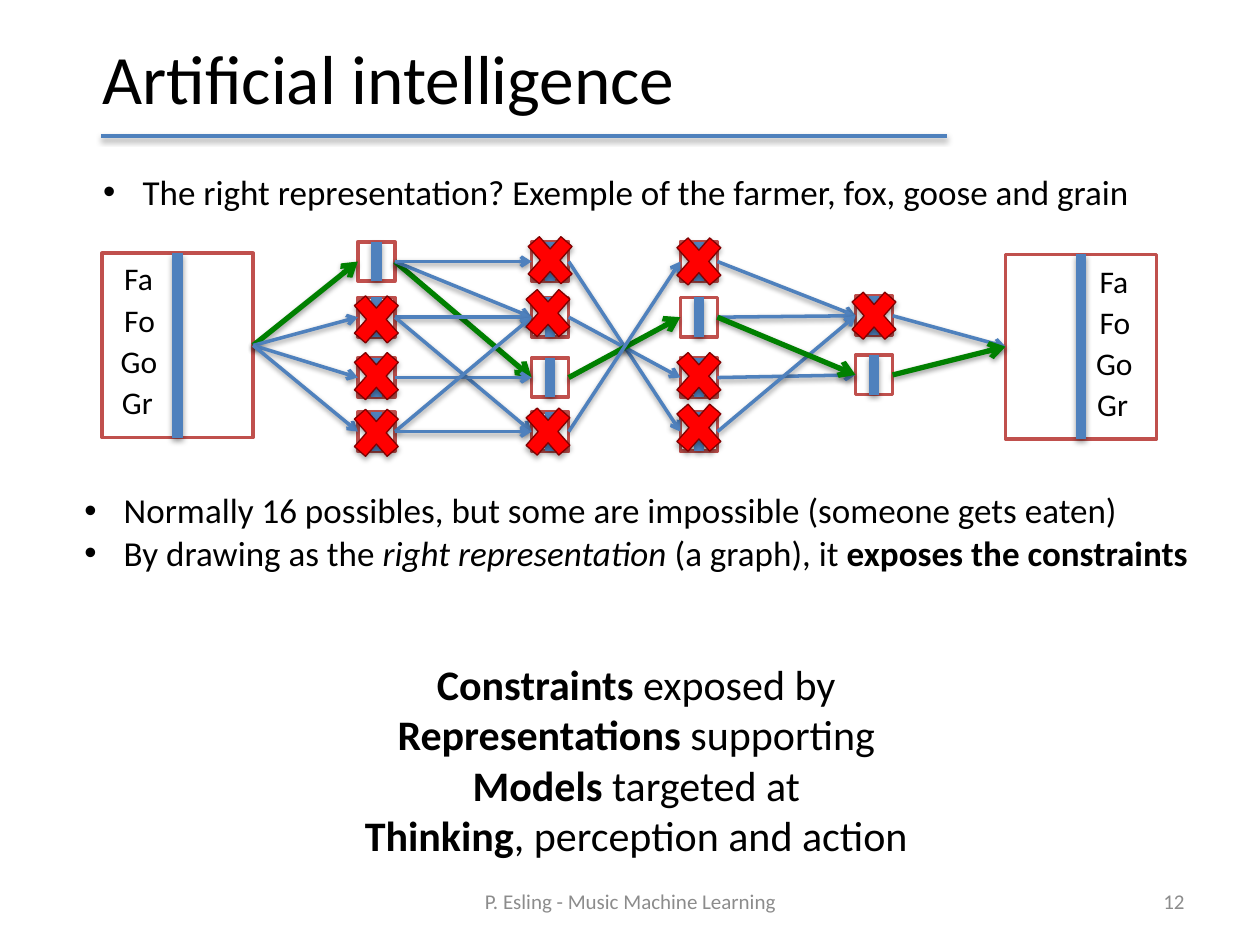
from lxml import etree
from pptx import Presentation
from pptx.dml.color import RGBColor
from pptx.enum.shapes import MSO_CONNECTOR, MSO_SHAPE
from pptx.enum.text import MSO_ANCHOR, MSO_AUTO_SIZE, PP_ALIGN
from pptx.oxml.ns import qn
from pptx.util import Pt

STRAIGHT = MSO_CONNECTOR.STRAIGHT
RECTANGLE, CROSS = MSO_SHAPE.RECTANGLE, MSO_SHAPE.MATH_MULTIPLY
LEFT, CENTER, RIGHT = PP_ALIGN.LEFT, PP_ALIGN.CENTER, PP_ALIGN.RIGHT
MIDDLE, NO_FIT = MSO_ANCHOR.MIDDLE, MSO_AUTO_SIZE.NONE
TOP_SIDE, LEFT_SIDE, BOTTOM_SIDE, RIGHT_SIDE = range(4)
BLUE, GREEN, RED_OUTLINE = "4F81BD", "008000", "C0504D"
BLACK, GREY = "000000", "8C8C8C"


def color(value):
    return RGBColor.from_string(value)


def write(shape, box, lines, size, align=LEFT, text_color=BLACK):
    shape.left, shape.top, shape.width, shape.height = map(Pt, box)
    text_frame = shape.text_frame
    text_frame.word_wrap = True
    text_frame.auto_size = NO_FIT
    for index, parts in enumerate(lines):
        paragraph = text_frame.add_paragraph() if index else text_frame.paragraphs[0]
        paragraph.alignment = align
        paragraph.space_before = Pt(0)
        for text, style in parts:
            run = paragraph.add_run()
            run.text = text
            run.font.name = "Calibri"
            run.font.size = Pt(size)
            run.font.bold = style == "bold"
            run.font.italic = style == "italic"
            run.font.color.rgb = color(text_color)


presentation = Presentation()
presentation.slide_width, presentation.slide_height = Pt(720), Pt(540)
slide = presentation.slides.add_slide(presentation.slide_layouts[3])
shapes = slide.shapes
title, question, findings = slide.placeholders

write(title, (43.2, 18, 357.8, 51.8), [[("Artificial intelligence", "")]], 39.6, CENTER)
rule = shapes.add_connector(STRAIGHT, Pt(57.6), Pt(77.8), Pt(541.4), Pt(77.8))
rule.line.color.rgb = color(BLUE)
rule.line.width = Pt(2)

write(question, (51.8, 93.6, 609.1, 31.7), [
    [("The right representation? Exemple of the farmer, fox, goose and grain", "")],
], 20)
question.text_frame.word_wrap = False
write(findings, (5, 275.8, 715, 55.4), [
    [("Normally 16 possibles, but some are impossible (someone gets eaten)", "")],
    [("By drawing as the ", ""), ("right representation ", "italic"),
     ("(a graph), it ", ""), ("exposes the constraints", "bold")],
], 20)
for shape, level, margin in [(question, 0, 22.5), (findings, 1, 58.5)]:
    for paragraph in shape.text_frame.paragraphs:
        paragraph.level = level
        properties = paragraph._p.get_or_add_pPr()
        properties.set("marL", str(Pt(margin)))
        properties.set("indent", str(Pt(-22.5)))
        etree.SubElement(properties, qn("a:buFont")).set("typeface", "Arial")
        etree.SubElement(properties, qn("a:buChar")).set("char", "•")

write(shapes.add_textbox(0, 0, 0, 0), (144, 372.7, 439.2, 123.4), [
    [("Constraints ", "bold"), ("exposed by", "")],
    [("Representations ", "bold"), ("supporting", "")],
    [("Models ", "bold"), ("targeted at", "")],
    [("Thinking", "bold"), (", perception and action", "")],
], 24, CENTER)

panel_size, state_size = (86.4, 105.4), (21.2, 22.5)
row_tops = [138.2, 170, 204.5, 235.4]
stage_layout = [
    (58.3, panel_size, [144.7]),
    (204.5, state_size, row_tops),
    (303.8, state_size, row_tops),
    (388.8, state_size, row_tops),
    (488.9, state_size, [169.2, 203]),
    (574.6, panel_size, [145.4]),
]
stages = []
for left, (width, height), tops in stage_layout:
    stage = []
    for top in tops:
        state = shapes.add_shape(RECTANGLE, Pt(left), Pt(top), Pt(width), Pt(height))
        state.shadow.inherit = False
        state.fill.solid()
        state.fill.fore_color.rgb = color("FFFFFF")
        state.line.color.rgb = color(RED_OUTLINE)
        state.line.width = Pt(2)
        river = shapes.add_connector(STRAIGHT, 0, 0, 0, 0)
        river.begin_connect(state, TOP_SIDE)
        river.end_connect(state, BOTTOM_SIDE)
        river.line.color.rgb = color(BLUE)
        river.line.width = Pt(6)
        stage.append(state)
    stages.append(stage)

travellers = [("Fa", 2), ("Fo", 2), ("Go", 0), ("Gr", 0.7)]
for bank_left, bank_top in [(61.9, 144.7), (619.2, 146.2)]:
    for row, (name, shift) in enumerate(travellers):
        box = (bank_left + shift, bank_top + 23.5 * row, 48, 29)
        write(shapes.add_textbox(0, 0, 0, 0), box, [[(name, "")]], 18)

moves = [
    [(0, 0), (0, 1), (0, 2), (0, 3)],
    [(0, 2), (0, 1), (0, 0), (1, 1), (1, 3), (2, 2), (3, 1), (3, 3)],
    [(0, 3), (1, 2), (2, 1), (3, 0)],
    [(0, 0), (1, 0), (2, 1), (3, 0), (1, 1)],
    [(0, 0), (1, 0)],
]
solution = [(0, 0), (0, 2), (2, 1), (1, 1), (1, 0)]
for step, step_moves in enumerate(moves):
    for move in step_moves:
        solved = move == solution[step]
        arrow = shapes.add_connector(STRAIGHT, 0, 0, 0, 0)
        arrow.begin_connect(stages[step][move[0]], RIGHT_SIDE)
        arrow.end_connect(stages[step + 1][move[1]], LEFT_SIDE)
        arrow.line.color.rgb = color(GREEN if solved else BLUE)
        arrow.line.width = Pt(3 if solved else 2)
        outline = arrow.element.spPr.find(qn("a:ln"))
        etree.SubElement(outline, qn("a:tailEnd")).set("type", "arrow")

cross_width, cross_height = Pt(36), Pt(41)
impossible_states = [
    (1, 3, 0, 0.7), (1, 2, 0, -0.8), (1, 1, 0, 1.3),
    (2, 0, 0, -0.7), (2, 1, -1.2, -2.3), (2, 3, -1.2, 0),
    (3, 3, 0, -2.2), (3, 2, 0, -0.8), (3, 0, 0, 0),
    (4, 0, 0, 0),
]
for step, row, shift_x, shift_y in impossible_states:
    state = stages[step][row]
    left = state.left + (state.width - cross_width) // 2 + Pt(shift_x)
    top = state.top + (state.height - cross_height) // 2 + Pt(shift_y)
    cross = shapes.add_shape(CROSS, left, top, cross_width, cross_height)
    cross.fill.solid()
    cross.fill.fore_color.rgb = color("FF0000")
    cross.line.color.rgb = color("800000")
    cross.line.width = Pt(0.75)

for text, left, width, align in [
    ("P. Esling - Music Machine Learning", 246.2, 228.2, CENTER),
    ("12", 516.2, 167.8, RIGHT),
]:
    footer = shapes.add_textbox(0, 0, 0, 0)
    write(footer, (left, 500.4, width, 28.8), [[(text, "")]], 12, align, GREY)
    footer.text_frame.vertical_anchor = MIDDLE

presentation.save("out.pptx")
